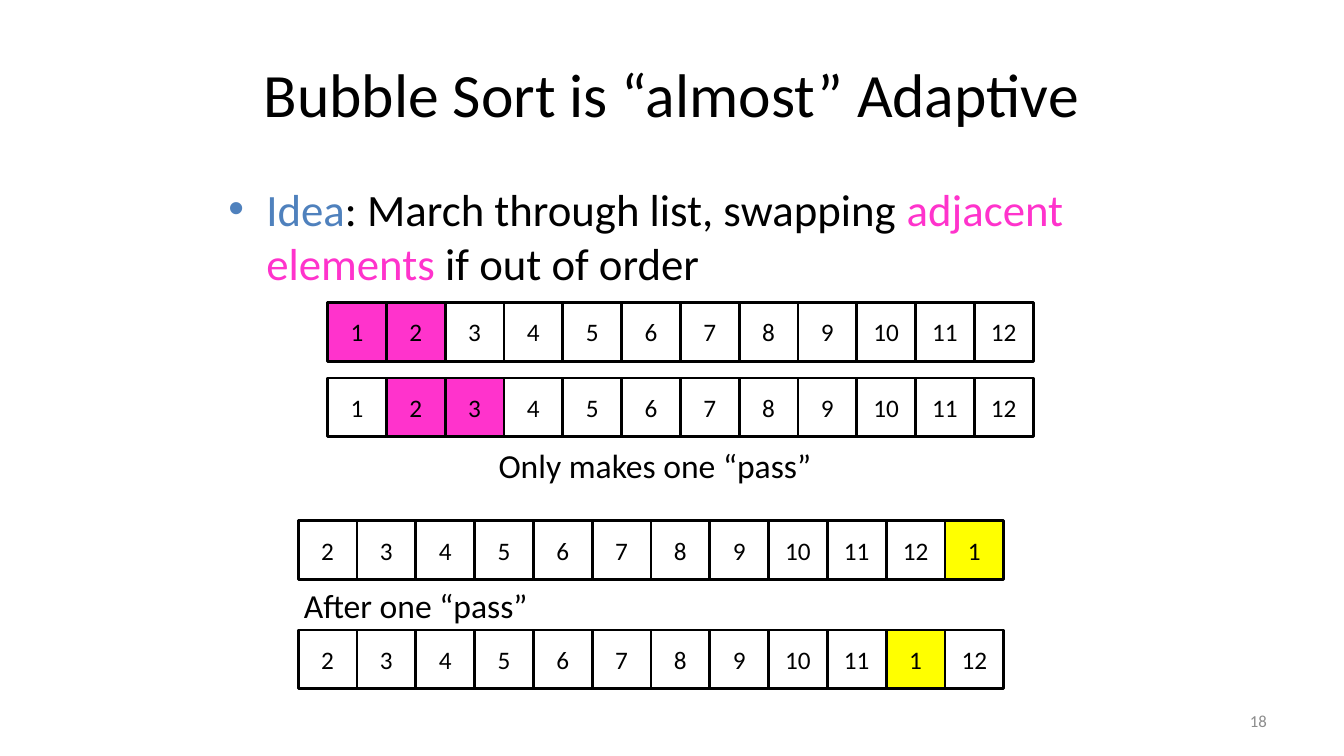
from dataclasses import dataclass

from pptx import Presentation
from pptx.dml.color import RGBColor
from pptx.enum.shapes import MSO_SHAPE
from pptx.enum.text import MSO_ANCHOR, MSO_AUTO_SIZE, PP_ALIGN
from pptx.util import Pt


@dataclass(frozen=True)
class Theme:
    font: str = "Calibri"
    ink: str = "000000"
    idea: str = "4F81BD"
    compared: str = "FF33CC"
    smallest: str = "FFFF00"
    muted: str = "8C8C8C"
    title_size: int = 44
    body_size: int = 32
    caption_size: int = 24
    cell_size: int = 18
    number_size: int = 12


THEME = Theme()
CELL_SIDE = 42


def write(frame, *runs, size, color=THEME.ink, align=None,
          anchor=MSO_ANCHOR.TOP, auto_size=MSO_AUTO_SIZE.NONE):
    """Fill one paragraph; a run is a string or a (string, colour) pair."""
    frame.word_wrap = True
    frame.auto_size = auto_size
    frame.vertical_anchor = anchor
    paragraph = frame.paragraphs[0]
    paragraph.alignment = align
    for part in runs:
        words, run_color = (part, color) if isinstance(part, str) else part
        run = paragraph.add_run()
        run.text = words
        run.font.name = THEME.font
        run.font.size = Pt(size)
        run.font.color.rgb = RGBColor.from_string(run_color)


def place(shape, left, top, width, height):
    shape.left, shape.top = Pt(left), Pt(top)
    shape.width, shape.height = Pt(width), Pt(height)


def heading(slide, box):
    title = slide.shapes.title
    place(title, *box)
    write(title.text_frame, "Bubble Sort is “almost” Adaptive",
          size=THEME.title_size, align=PP_ALIGN.CENTER,
          anchor=MSO_ANCHOR.MIDDLE)


def idea(slide, box):
    body = slide.placeholders[1]
    place(body, *box)
    write(body.text_frame, ("Idea", THEME.idea),
          ": March through list, swapping ",
          ("adjacent elements", THEME.compared), " if out of order",
          size=THEME.body_size)


def caption(slide, box, words):
    label = slide.shapes.add_textbox(*map(Pt, box))
    write(label.text_frame, words, size=THEME.caption_size,
          auto_size=MSO_AUTO_SIZE.SHAPE_TO_FIT_TEXT)


def number_list(slide, left, top, numbers, marked, mark_color):
    """Draw a grouped row of square cells, filling those with marked numbers."""
    row = slide.shapes.add_group_shape()
    for position, number in enumerate(numbers):
        cell = row.shapes.add_shape(
            MSO_SHAPE.RECTANGLE, Pt(left + position * CELL_SIDE), Pt(top),
            Pt(CELL_SIDE), Pt(CELL_SIDE))
        cell.shadow.inherit = False
        if number in marked:
            cell.fill.solid()
            cell.fill.fore_color.rgb = RGBColor.from_string(mark_color)
        else:
            cell.fill.background()
        cell.line.color.rgb = RGBColor.from_string(THEME.ink)
        cell.line.width = Pt(2)
        write(cell.text_frame, str(number), size=THEME.cell_size,
              align=PP_ALIGN.CENTER, anchor=MSO_ANCHOR.MIDDLE)


def sorted_example(slide, left, top):
    in_order = range(1, 13)
    number_list(slide, left, top, in_order, {1, 2}, THEME.compared)
    number_list(slide, left, top + 54, in_order, {2, 3}, THEME.compared)
    caption(slide, (left + 115, top + 98, 317.5, 36), "Only makes one “pass”")


def one_pass_example(slide, left, top):
    smallest_last = [*range(2, 13), 1]
    after_pass = [*range(2, 12), 1, 12]
    number_list(slide, left, top, smallest_last, {1}, THEME.smallest)
    caption(slide, (left - 3, top + 42, 317.5, 36), "After one “pass”")
    number_list(slide, left, top + 78, after_pass, {1}, THEME.smallest)


def page_number(slide, box):
    number = slide.shapes.add_textbox(*map(Pt, box))
    write(number.text_frame, "18", size=THEME.number_size, color=THEME.muted,
          align=PP_ALIGN.RIGHT, anchor=MSO_ANCHOR.MIDDLE)


def main():
    deck = Presentation()
    deck.slide_width, deck.slide_height = Pt(960), Pt(540)
    slide = deck.slides.add_slide(deck.slide_layouts[1])
    heading(slide, (48, 21.6, 864, 90))
    idea(slide, (156, 126, 648, 84))
    page_number(slide, (688, 500.5, 224, 28.75))
    sorted_example(slide, 234, 216)
    one_pass_example(slide, 213, 372)
    deck.save("out.pptx")


if __name__ == "__main__":
    main()
